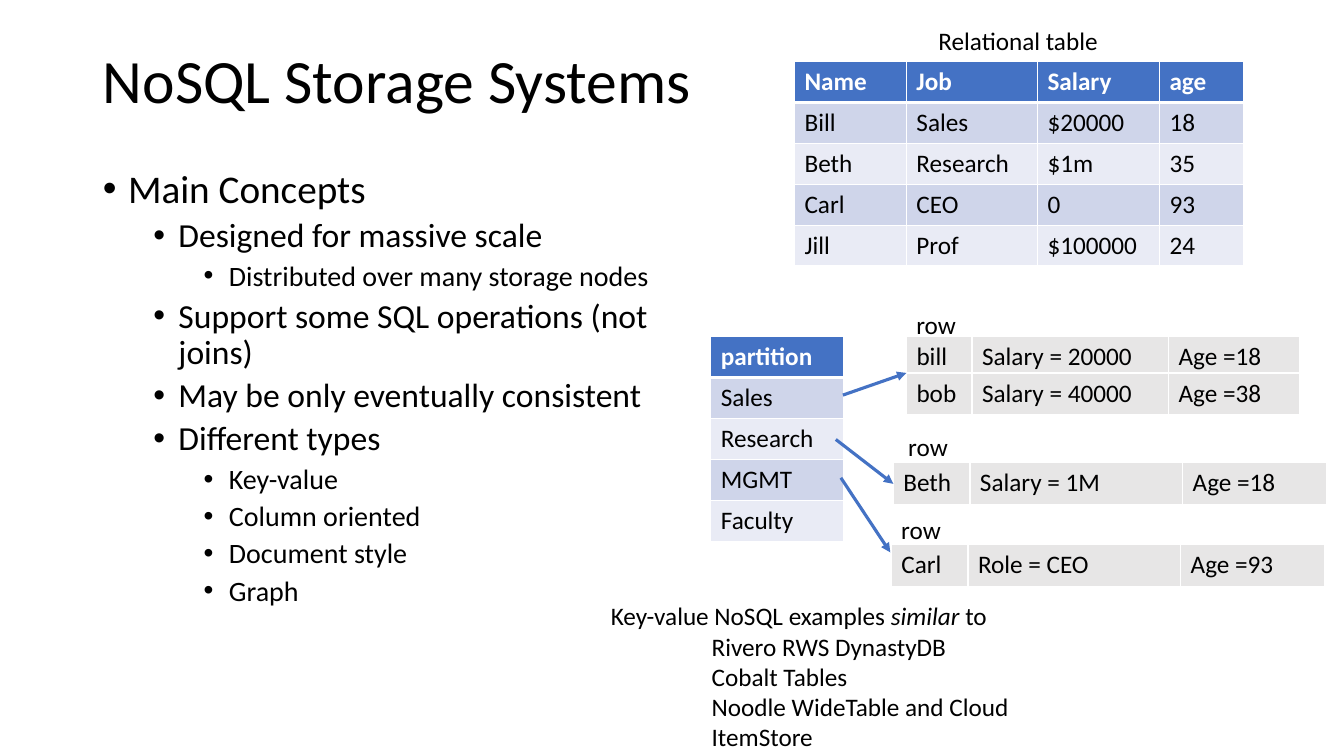
from dataclasses import dataclass

from lxml.etree import SubElement
from pptx import Presentation
from pptx.dml.color import RGBColor as Rgb
from pptx.enum.shapes import MSO_CONNECTOR as Connector
from pptx.enum.text import MSO_ANCHOR as Anchor, MSO_AUTO_SIZE as AutoSize, PP_ALIGN as Align
from pptx.oxml.ns import qn
from pptx.util import Inches, Pt


@dataclass(frozen=True)
class Theme:
    font: str = "Calibri"
    title_size: int = 44
    level_sizes: tuple = (28, 24, 20)
    text_size: int = 18
    ink: str = "000000"
    paper: str = "FFFFFF"
    accent: str = "4472C4"
    bands: tuple = ("CFD5EA", "E9EBF5")
    row_fill: str = "E7E6E6"


THEME = Theme()

CONCEPTS = [
    (0, "Main Concepts"),
    (1, "Designed for massive scale"),
    (2, "Distributed over many storage nodes"),
    (1, "Support some SQL operations (not joins)"),
    (1, "May be only eventually consistent"),
    (1, "Different types"),
    (2, "Key-value"),
    (2, "Column oriented"),
    (2, "Document style"),
    (2, "Graph"),
]
EMPLOYEES = [
    ("Name", "Job", "Salary", "age"),
    ("Bill", "Sales", "$20000", "18"),
    ("Beth", "Research", "$1m", "35"),
    ("Carl", "CEO", "0", "93"),
    ("Jill", "Prof", "$100000", "24"),
]
PARTITIONS = [("partition",), ("Sales",), ("Research",), ("MGMT",), ("Faculty",)]
NARROW, WIDE = (0.65, 1.95, 1.3), (0.76, 2.11, 1.43)
STORED_ROWS = [
    (8.99, 3.34, NARROW, ("bill", "Salary = 20000", "Age =18")),
    (8.99, 3.7, NARROW, ("bob", "Salary = 40000", "Age =38")),
    (8.86, 4.59, WIDE, ("Beth", "Salary = 1M", "Age =18")),
    (8.84, 5.4, WIDE, ("Carl", "Role = CEO", "Age =93")),
]
ROW_LABELS = [(8.99, 3.02), (8.91, 4.23), (8.84, 5.05)]
PARTITION_ARROWS = [
    ((8.36, 3.92), (8.99, 3.7)),
    ((8.29, 4.36), (8.86, 4.8)),
    ((8.34, 4.74), (8.83, 5.48)),
]
EXAMPLES = ["Rivero RWS DynastyDB", "Cobalt Tables", "Noodle WideTable and Cloud ItemStore"]


def style(paragraph, size=THEME.text_size, color=THEME.ink, bold=False):
    font = paragraph.font
    font.name, font.size, font.bold = THEME.font, Pt(size), bold
    font.color.rgb = Rgb.from_string(color)


def place(shape, *box):
    shape.left, shape.top, shape.width, shape.height = map(Inches, box)


def indent(paragraph, left, hanging=0):
    properties = paragraph._p.get_or_add_pPr()
    properties.set("marL", str(Inches(left)))
    properties.set("indent", str(Inches(-hanging)))
    return properties


def fill_title(title, text):
    place(title, 0.92, 0.4, 6.49, 0.86)
    frame = title.text_frame
    frame.text = text
    frame.auto_size, frame.vertical_anchor = AutoSize.NONE, Anchor.MIDDLE
    heading = frame.paragraphs[0]
    heading.alignment, heading.line_spacing = Align.LEFT, 0.9
    style(heading, THEME.title_size)


def fill_concepts(body, concepts):
    place(body, 0.92, 1.63, 5.67, 5.13)
    frame = body.text_frame
    frame.text = "\n".join(text for _, text in concepts)
    frame.auto_size = AutoSize.NONE
    for concept, (level, _) in zip(frame.paragraphs, concepts):
        concept.level, concept.line_spacing = level, 0.9
        concept.space_before = Pt(5 if level else 10)
        style(concept, THEME.level_sizes[level])
        properties = indent(concept, 0.25 + 0.5 * level, 0.25)
        SubElement(properties, qn("a:buFont"), typeface="Arial")
        SubElement(properties, qn("a:buChar"), char="•")


def add_border(cell, side, points):
    border = SubElement(cell._tc.get_or_add_tcPr(), qn(f"a:ln{side}"), w=str(Pt(points)))
    SubElement(SubElement(border, qn("a:solidFill")), qn("a:srgbClr"), val=THEME.paper)


def add_grid(slide, left, top, widths, row_height, rows, has_header=True):
    """Add a table; the edge below its first row is heavier than the others."""
    table = slide.shapes.add_table(
        len(rows), len(widths), Inches(left), Inches(top),
        Inches(sum(widths)), Inches(row_height * len(rows))).table
    for column, width in zip(table.columns, widths):
        column.width = Inches(width)
    for r, values in enumerate(rows):
        is_header = has_header and r == 0
        if is_header:
            fill = THEME.accent
        else:
            fill = THEME.bands[(r - 1) % 2] if has_header else THEME.row_fill
        for c, value in enumerate(values):
            cell = table.cell(r, c)
            cell.text = value
            style(cell.text_frame.paragraphs[0],
                  color=THEME.paper if is_header else THEME.ink, bold=is_header)
            for side in "LRTB":
                add_border(cell, side, 3 if (side, r) in (("B", 0), ("T", 1)) else 1)
            cell.fill.solid()
            cell.fill.fore_color.rgb = Rgb.from_string(fill)


def add_label(slide, left, top, width, text):
    frame = slide.shapes.add_textbox(*map(Inches, (left, top, width, 0.4))).text_frame
    frame.word_wrap = False
    frame.text = text
    style(frame.paragraphs[0])


def add_arrow(slide, start, end):
    arrow = slide.shapes.add_connector(Connector.STRAIGHT, *map(Inches, (*start, *end)))
    arrow.line.color.rgb = Rgb.from_string(THEME.accent)
    arrow.line.width = Pt(2.25)
    SubElement(arrow.line._get_or_add_ln(), qn("a:tailEnd"), type="triangle")
    SubElement(arrow._element.spPr, qn("a:effectLst"))


def add_examples(slide, examples):
    frame = slide.shapes.add_textbox(*map(Inches, (5.96, 5.91, 5.06, 1.31))).text_frame
    frame.word_wrap = True
    intro = frame.paragraphs[0]
    for text, italic in (("Key-value NoSQL examples ", False), ("similar", True), (" to", False)):
        run = intro.add_run()
        run.text, run.font.italic = text, italic
    style(intro)
    for text in examples:
        example = frame.add_paragraph()
        example.text = text
        indent(example, 1)
        style(example)


def main():
    deck = Presentation()
    deck.slide_width, deck.slide_height = Inches(13.33), Inches(7.5)
    slide = deck.slides.add_slide(deck.slide_layouts[1])
    fill_title(slide.shapes.title, "NoSQL Storage Systems")
    fill_concepts(slide.placeholders[1], CONCEPTS)

    add_grid(slide, 7.88, 0.61, (1.11, 1.3, 1.21, 0.83), 0.406, EMPLOYEES)
    add_label(slide, 9.21, 0.2, 1.8, "Relational table")

    add_grid(slide, 7.05, 3.34, (1.32,), 0.406, PARTITIONS)
    for left, top, widths, values in STORED_ROWS:
        add_grid(slide, left, top, widths, 0.43, [values], has_header=False)
    for left, top in ROW_LABELS:
        add_label(slide, left, top, 0.6, "row")
    for start, end in PARTITION_ARROWS:
        add_arrow(slide, start, end)

    add_examples(slide, EXAMPLES)
    deck.save("out.pptx")


if __name__ == "__main__":
    main()
